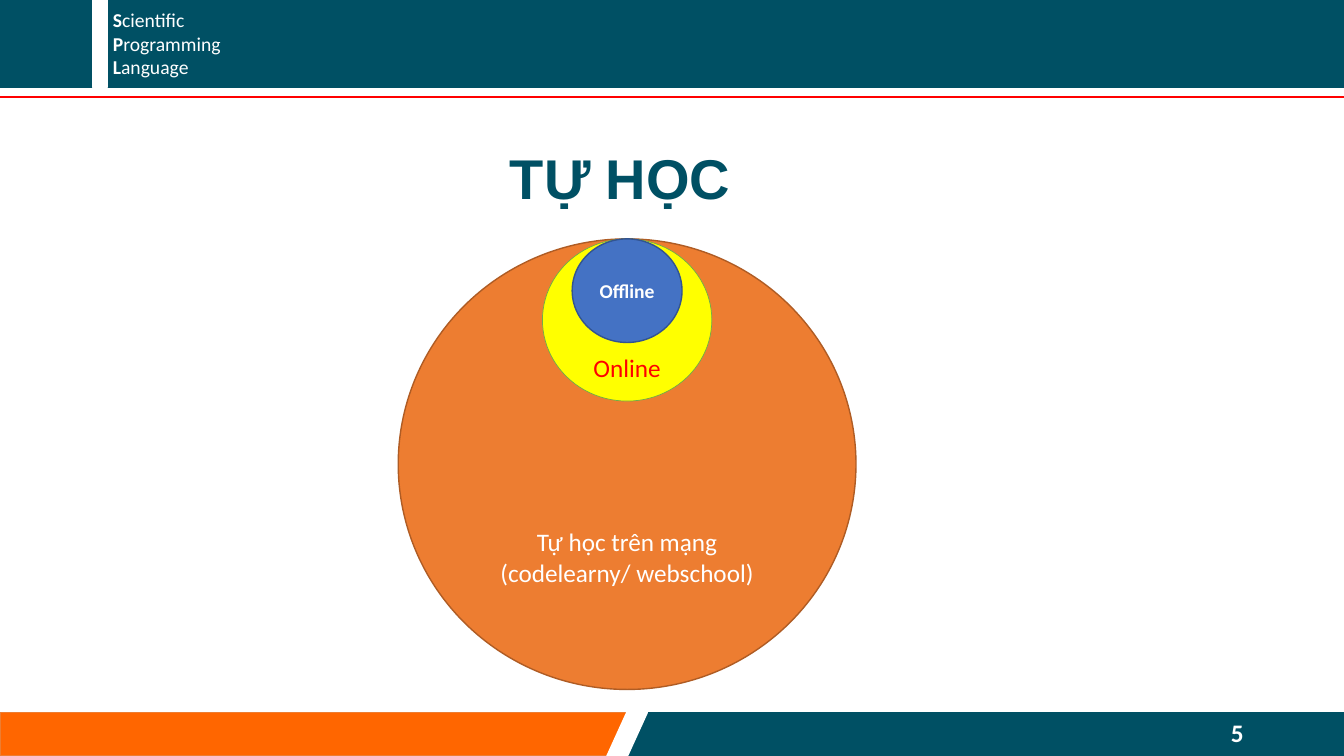
from pptx import Presentation
from pptx.dml.color import RGBColor as RGB
from pptx.enum.shapes import MSO_CONNECTOR as Line, MSO_SHAPE as Kind
from pptx.enum.text import MSO_ANCHOR as Anchor, PP_ALIGN as Align
from pptx.oxml.ns import qn
from pptx.util import Inches, Pt

TEAL = RGB(0x00, 0x50, 0x64)
WHITE = RGB(0xFF, 0xFF, 0xFF)
RED = RGB(0xFF, 0x00, 0x00)
FLAME = RGB(0xFF, 0x66, 0x00)
ORANGE = RGB(0xED, 0x7D, 0x31)
RUST = RGB(0xAF, 0x5C, 0x24)
YELLOW = RGB(0xFF, 0xFF, 0x00)
GREEN = RGB(0x70, 0xAD, 0x47)
BLUE = RGB(0x44, 0x72, 0xC4)
NAVY = RGB(0x32, 0x54, 0x91)

# Grid of tenths of an inch
COLS, ROWS = 133.3, 75


def grid(n):
    return Inches(n / 10)


def place(box):
    return [grid(n) for n in box]


def write(item, lines, size=18, color=WHITE, font="Calibri", bold=False,
          align=Align.LEFT, anchor=Anchor.TOP, side=1, base=0.5):
    """Each line is a list of (text, bold) runs or a plain string."""
    frame = item.text_frame
    frame.word_wrap = True
    frame.vertical_anchor = anchor
    frame.margin_left = frame.margin_right = grid(side)
    frame.margin_bottom = grid(base)
    for i, line in enumerate(lines):
        para = frame.paragraphs[0] if i == 0 else frame.add_paragraph()
        para.alignment = align
        runs = [(line, bold)] if isinstance(line, str) else line
        for text, heavy in runs:
            run = para.add_run()
            run.text = text
            run.font.name, run.font.size = font, Pt(size)
            run.font.bold, run.font.color.rgb = heavy, color


def shape(slide, kind, box, fill, edge, width=1):
    item = slide.shapes.add_shape(kind, *place(box))
    item.shadow.inherit = False
    item.fill.solid()
    item.fill.fore_color.rgb = fill
    item.line.color.rgb = edge
    item.line.width = Pt(width)
    return item


def label(slide, box, lines, **style):
    write(slide.shapes.add_textbox(*place(box)), lines, **style)


def header(slide, box):
    x, y, w, h = box
    shape(slide, Kind.RECTANGLE, box, TEAL, TEAL)
    shape(slide, Kind.RECTANGLE, (x + 9.2, y, 1.4, h), WHITE, WHITE)
    words = ["Scientific", "Programming", "Language"]
    label(slide, (x + 10.2, y + 0.3, 20.8, h - 0.6),
          [[(word[0], True), (word[1:], False)] for word in words], size=14)
    # Red rule under the band
    low = grid(y + h + 0.9)
    rule = slide.shapes.add_connector(Line.STRAIGHT, grid(x), low,
                                      grid(x + w), low)
    rule.line.color.rgb = RED
    rule.line.width = Pt(1.5)
    props = rule._element.spPr
    props.append(props.makeelement(qn("a:effectLst"), {}))


def footer(slide, box, number):
    x, y, w, h = box
    split = 62.2
    shape(slide, Kind.RECTANGLE, (x, y, split, h), FLAME, ORANGE)
    shape(slide, Kind.RECTANGLE, (x + split, y, w - split, h), TEAL, TEAL)
    slash = shape(slide, Kind.PARALLELOGRAM, (x + split - 2, y, 4, h),
                  WHITE, WHITE)
    slash.adjustments[0] = 0.49
    label(slide, (x + w - 12.2, y, 10.7, h), [number], bold=True)


def circles(slide, box):
    """Nested ovals that touch at the top of the box."""
    x, y, w, h = box
    rings = [
        (1, 1, ORANGE, RUST, 1,
         ["Tự học trên mạng", "(codelearny/ webschool)"],
         dict(anchor=Anchor.BOTTOM, base=3.6)),
        (0.37, 0.36, YELLOW, GREEN, 0.5, ["Online"],
         dict(color=RED, anchor=Anchor.BOTTOM, base=-0.5)),
        (0.24, 0.23, BLUE, NAVY, 1, ["Offline"],
         dict(size=14, bold=True, anchor=Anchor.MIDDLE)),
    ]
    for across, down, fill, edge, width, lines, style in rings:
        spot = (x + w * (1 - across) / 2, y, w * across, h * down)
        oval = shape(slide, Kind.OVAL, spot, fill, edge, width)
        write(oval, lines, align=Align.CENTER, side=0, **style)


def main():
    deck = Presentation()
    deck.slide_width, deck.slide_height = grid(COLS), grid(ROWS)
    slide = deck.slides.add_slide(deck.slide_layouts[6])
    circles(slide, (39.5, 23.7, 45.4, 44.7))
    header(slide, (0, 0, COLS, 8.7))
    footer(slide, (0, ROWS - 4.3, COLS, 4.3), "5")
    label(slide, (1.9, 13.7, 119.2, 7.7), ["TỰ HỌC"], size=40, color=TEAL,
          font="Arial", bold=True, align=Align.CENTER)
    deck.save("out.pptx")


if __name__ == "__main__":
    main()
